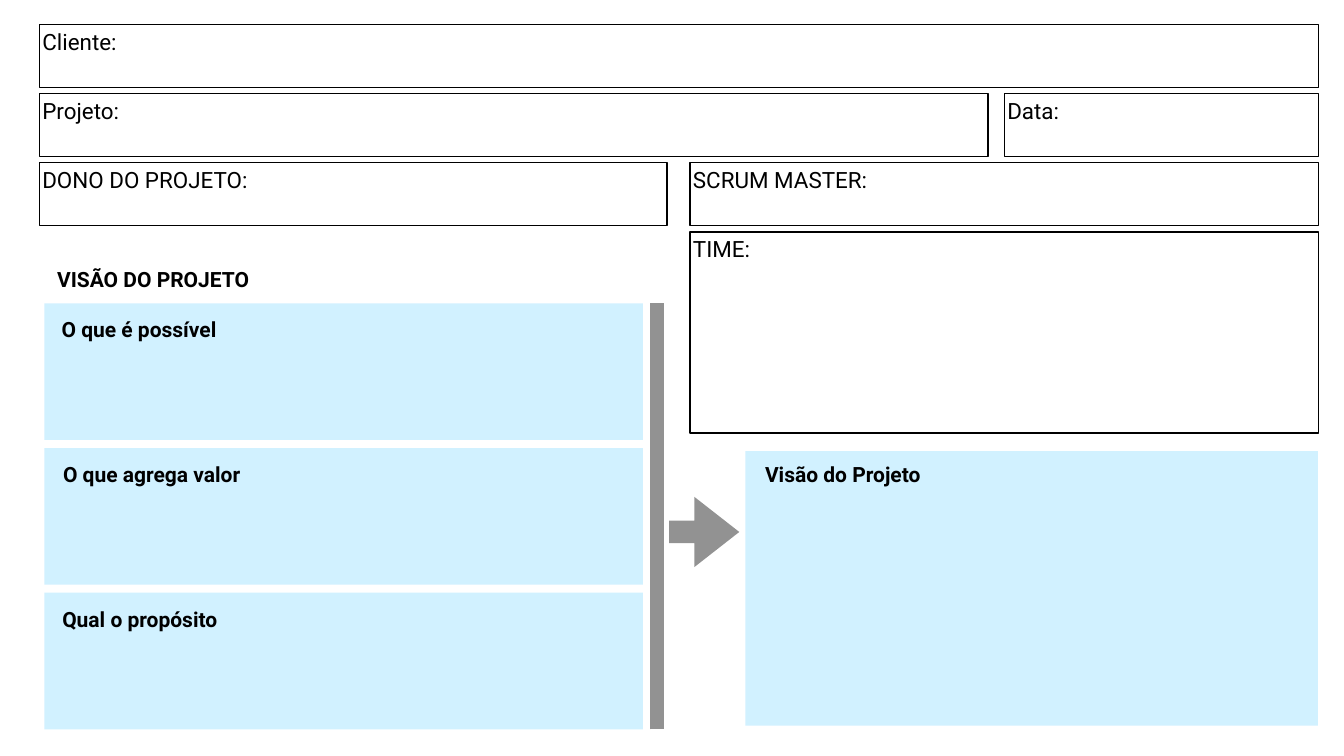
import pptx
import pptx.dml.color
import pptx.enum.shapes
import pptx.enum.text
import pptx.oxml
import pptx.oxml.ns
import pptx.util

WIDE, HIGH = 26.67, 15
LEFT, TOP, SPAN = 0.78, 0.49, 25.38
ROW, TALL = 1.37, 1.25
BAND, STEP, DEEP = 6.02, 2.87, 2.71
COLORS = {"ink": "000000", "sky": "68D2FF", "gray": "929292"}
KINDS = pptx.enum.shapes.MSO_SHAPE
ALIGN = pptx.enum.text.PP_ALIGN
ANCHOR = pptx.enum.text.MSO_ANCHOR


def inch(*sizes):
    """Turn inches into slide lengths."""
    return [pptx.util.Inches(size) for size in sizes]


def color(name):
    """Look up a colour by name."""
    return pptx.dml.color.RGBColor.from_string(COLORS[name])


def write(shape, text, size, bold, align, anchor, wrap):
    """Set one run of text in a shape."""
    frame = shape.text_frame
    frame.word_wrap = wrap
    frame.vertical_anchor = anchor
    frame.margin_left, frame.margin_top, frame.margin_right, frame.margin_bottom = inch(*[0.06] * 4)
    para = frame.paragraphs[0]
    para.alignment = align
    run = para.add_run()
    run.text = text
    run.font.name = "Roboto"
    run.font.size = pptx.util.Pt(size)
    run.font.bold = bold
    run.font.color.rgb = color("ink")


def solid(slide, kind, box, name):
    """Add a filled shape with no outline."""
    shape = slide.shapes.add_shape(kind, *inch(*box))
    shape.shadow.inherit = False
    shape.fill.solid()
    shape.fill.fore_color.rgb = color(name)
    shape.line.fill.background()
    return shape


def field(slide, text, row, start, end, tall=TALL):
    """Add an outlined form field between two percentages of the form width."""
    box = LEFT + SPAN * start / 100, TOP + ROW * row, SPAN * (end - start) / 100, tall
    shape = slide.shapes.add_shape(KINDS.RECTANGLE, *inch(*box))
    shape.shadow.inherit = False
    shape.fill.background()
    shape.line.color.rgb = color("ink")
    shape.line.width = pptx.util.Pt(2)
    write(shape, text, 32, False, ALIGN.LEFT, ANCHOR.TOP, True)


def label(slide, text, left, top, wide):
    """Add a bold heading on one line."""
    shape = slide.shapes.add_textbox(*inch(left, top, wide, 0.61))
    write(shape, text, 30, True, ALIGN.CENTER, ANCHOR.MIDDLE, False)


def panel(slide, box, text, shift, wide):
    """Add a pale panel with its heading."""
    shape = solid(slide, KINDS.RECTANGLE, box, "sky")
    tint = shape.fill._xPr.find(".//" + pptx.oxml.ns.qn("a:srgbClr"))
    tint.append(pptx.oxml.parse_xml(
        f'<a:alpha {pptx.oxml.ns.nsdecls("a")} val="30000"/>'))
    label(slide, text, box[0] + shift[0], box[1] + shift[1], wide)


def bar(slide, across, start, end):
    """Add the thick upright line beside the panels."""
    line = slide.shapes.add_connector(
        pptx.enum.shapes.MSO_CONNECTOR.STRAIGHT, *inch(across, start, across, end))
    line.line.color.rgb = color("gray")
    line.line.width = pptx.util.Pt(20)
    line._element.spPr.append(pptx.oxml.parse_xml(
        f'<a:effectLst {pptx.oxml.ns.nsdecls("a")}/>'))


def arrow(slide, box):
    """Add the arrow that leads to the project vision."""
    shape = solid(slide, KINDS.RIGHT_ARROW, box, "gray")
    shape.adjustments[0] = 0.32
    shape.adjustments[1] = 0.64


def main():
    """Build the project vision form."""
    deck = pptx.Presentation()
    deck.slide_width, deck.slide_height = inch(WIDE, HIGH)
    slide = deck.slides.add_slide(deck.slide_layouts[6])

    field(slide, "Cliente:", 0, 0, 100)
    field(slide, "Projeto:", 1, 0, 74.19)
    field(slide, "Data:", 1, 75.45, 100)
    field(slide, "DONO DO PROJETO:", 2, 0, 49.09)
    field(slide, "SCRUM MASTER:", 2, 50.87, 100)
    field(slide, "TIME:", 3, 50.87, 100, 3.99)

    label(slide, "VISÃO DO PROJETO", 0.92, 5.24, 4.24)
    asks = [("O que é possível", 3.4), ("O que agrega valor", 3.9), ("Qual o propósito", 3.43)]
    for row, (text, wide) in enumerate(asks):
        box = 0.88, BAND + STEP * row, 11.88, DEEP
        panel(slide, box, text, (0.18, 0.21), wide)
    bar(slide, 13.03, BAND + 2 * STEP + DEEP, BAND)
    arrow(slide, (13.28, 9.86, 1.39, 1.39))
    panel(slide, (14.79, 8.95, 11.36, 5.45), "Visão do Projeto", (0.24, 0.15), 3.39)
    deck.save("out.pptx")


if __name__ == "__main__":
    main()
